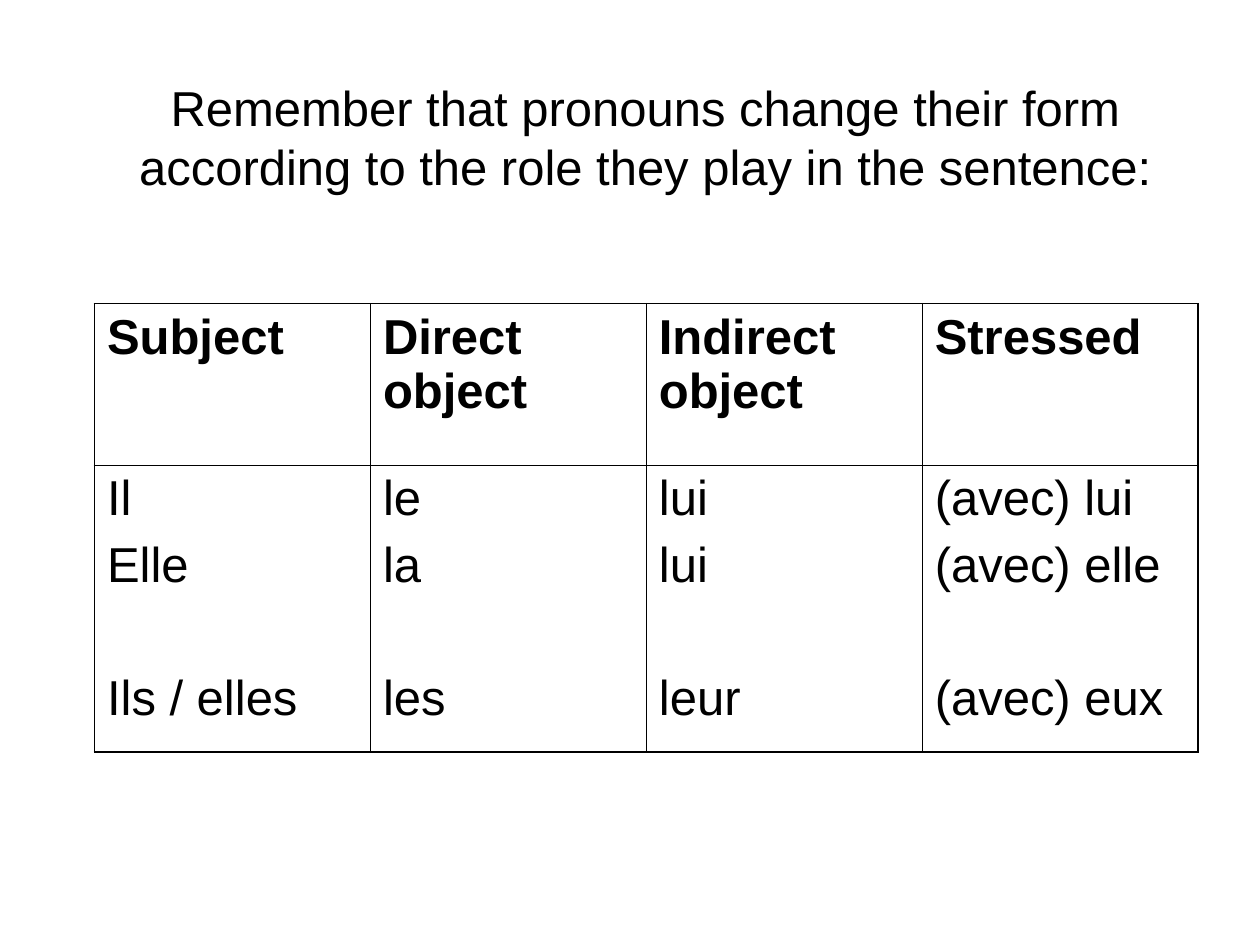
import pptx
import pptx.util
import pptx.dml.color
import pptx.enum.text
import pptx.oxml.ns
import lxml.etree

Inches = pptx.util.Inches
Pt = pptx.util.Pt
BLACK = pptx.dml.color.RGBColor(0, 0, 0)
FONT = "Arial"
TEXT_SIZE = 28
OUTER_LINE, INNER_LINE = 1.08, 0.45
LINE_SPACE, GROUP_SPACE = 7, 45

TITLE = "Remember that pronouns change their form according to the role they play in the sentence:"
PRONOUNS = [
    ("Subject", ["Il", "Elle", "Ils / elles"]),
    ("Direct object", ["le", "la", "les"]),
    ("Indirect object", ["lui", "lui", "leur"]),
    ("Stressed", ["(avec) lui", "(avec) elle", "(avec) eux"]),
]
SPACES = [0, LINE_SPACE, GROUP_SPACE]
ROW_HEIGHTS = [1.28, 2.28]
COLUMN_WIDTH = 2.19


def write_paragraph(para, text, *, bold=False, align=pptx.enum.text.PP_ALIGN.LEFT, before=0):
    para.alignment = align
    para.space_before = Pt(before)
    span = para.add_run()
    span.text = text
    span.font.name = FONT
    span.font.size = Pt(TEXT_SIZE)
    span.font.bold = bold
    span.font.color.rgb = BLACK


def write_cell(cell, lines, bold):
    frame = cell.text_frame
    for index, (text, before) in enumerate(zip(lines, SPACES)):
        para = frame.add_paragraph() if index else frame.paragraphs[0]
        write_paragraph(para, text, bold=bold, before=before)


def draw_borders(cell, outer_sides):
    properties = cell._tc.get_or_add_tcPr()
    qn = pptx.oxml.ns.qn
    for side in "LRTB":
        width = OUTER_LINE if side in outer_sides else INNER_LINE
        line = lxml.etree.SubElement(properties, qn(f"a:ln{side}"), w=str(int(Pt(width))))
        fill = lxml.etree.SubElement(line, qn("a:solidFill"))
        lxml.etree.SubElement(fill, qn("a:srgbClr"), val=str(BLACK))
    cell.fill.background()


def add_pronoun_table(page):
    count = len(PRONOUNS)
    table = page.shapes.add_table(
        len(ROW_HEIGHTS), count, Inches(0.75), Inches(2.41),
        Inches(COLUMN_WIDTH * count), Inches(sum(ROW_HEIGHTS))).table
    table.first_row = table.horz_banding = False
    for row, height in zip(table.rows, ROW_HEIGHTS):
        row.height = Inches(height)
    for column, (heading, forms) in enumerate(PRONOUNS):
        table.columns[column].width = Inches(COLUMN_WIDTH)
        edge = {0: "L", count - 1: "R"}.get(column, "")
        for row, lines in enumerate([[heading], forms]):
            cell = table.cell(row, column)
            write_cell(cell, lines, bold=row == 0)
            draw_borders(cell, edge + "TB"[row])


def main():
    deck = pptx.Presentation()
    deck.slide_width, deck.slide_height = Inches(10), Inches(7.5)
    page = deck.slides.add_slide(deck.slide_layouts[5])
    title = page.shapes.title
    title.left, title.top = Inches(0.75), Inches(0.3)
    title.width, title.height = Inches(8.74), Inches(1.56)
    title.text_frame.vertical_anchor = pptx.enum.text.MSO_ANCHOR.MIDDLE
    write_paragraph(title.text_frame.paragraphs[0], TITLE, align=pptx.enum.text.PP_ALIGN.CENTER)
    add_pronoun_table(page)
    deck.save("out.pptx")


if __name__ == "__main__":
    main()
